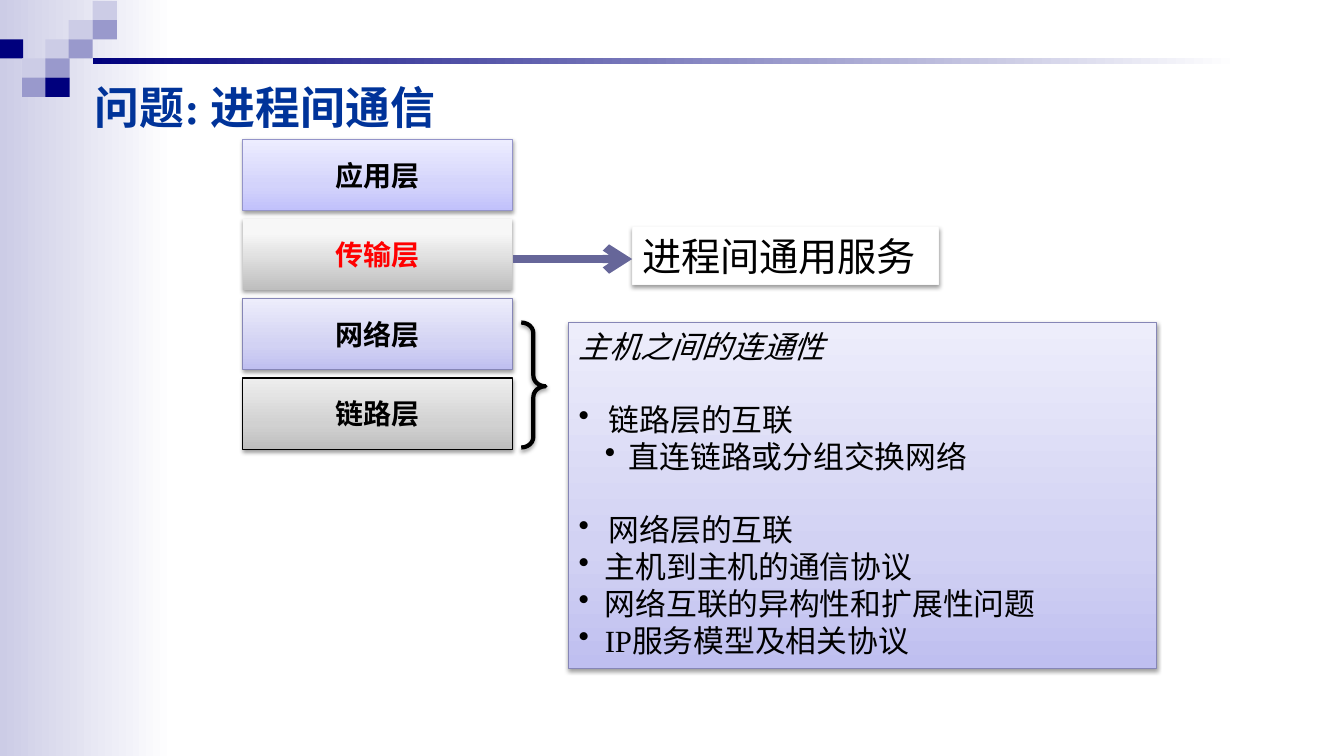
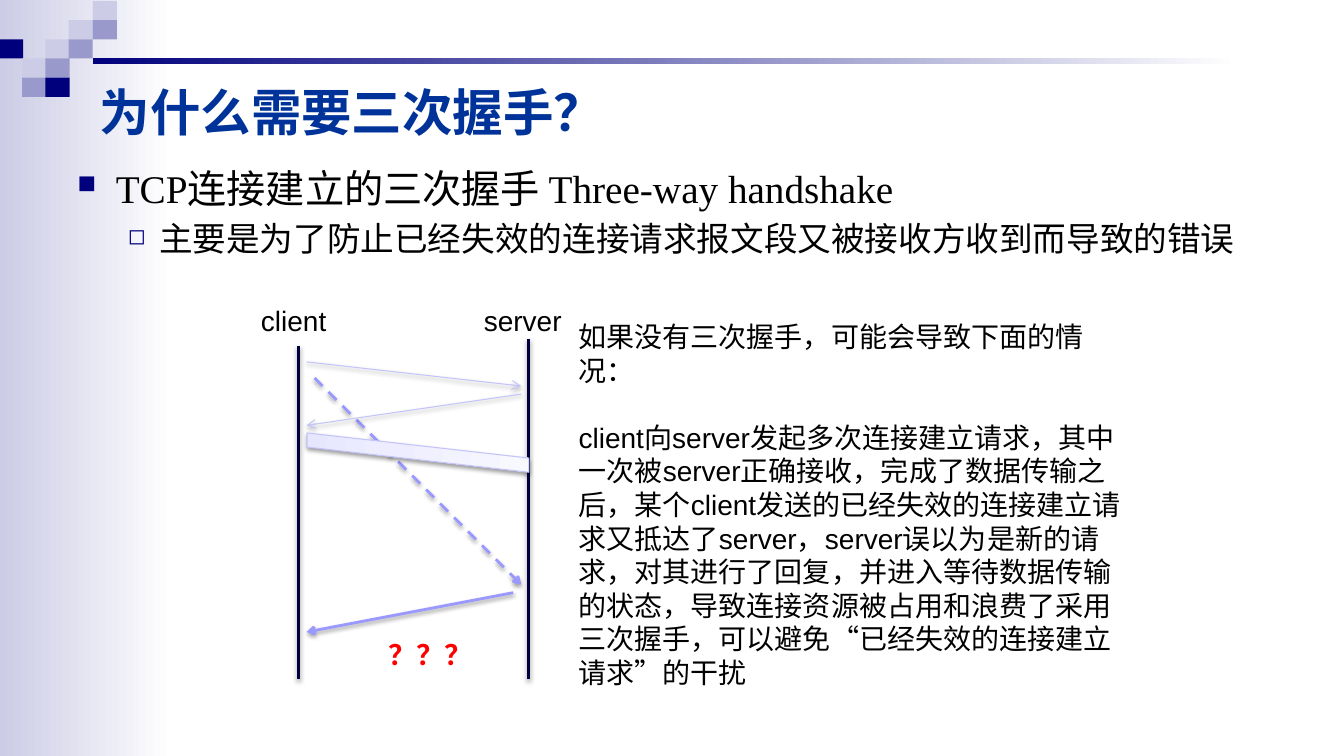
from copy import deepcopy

from lxml.etree import SubElement
from pptx import Presentation
from pptx.dml.color import RGBColor
from pptx.enum.dml import MSO_LINE
from pptx.enum.shapes import MSO_CONNECTOR, MSO_SHAPE
from pptx.enum.text import MSO_ANCHOR, MSO_AUTO_SIZE, PP_ALIGN
from pptx.oxml.ns import qn
from pptx.util import Emu, Pt

SCALE = 9144
SERIF, SANS, HAN = "Times New Roman", "Arial", "Noto Sans CJK SC"

BLACK = RGBColor(0x00, 0x00, 0x00)
WHITE = RGBColor(0xFF, 0xFF, 0xFF)
RED = RGBColor(0xFF, 0x00, 0x00)
BLUE = RGBColor(0x00, 0x33, 0x99)
NAVY = RGBColor(0x00, 0x00, 0x7D)
INK = RGBColor(0x00, 0x00, 0x3E)
PALE = RGBColor(0xCC, 0xCC, 0xE6)
MID = RGBColor(0x99, 0x99, 0xCC)
SLATE = RGBColor(0x66, 0x66, 0x99)
SNOW = RGBColor(0xF9, 0xF9, 0xF9)
LILAC = RGBColor(0xC4, 0xC4, 0xFB)
VIVID = RGBColor(0x99, 0x99, 0xFF)
EDGE = RGBColor(0x86, 0x86, 0xB6)
RIM = RGBColor(0x94, 0x94, 0xC9)

FADE = ((0, PALE), (1, WHITE))
RULE = ((0, NAVY), (1, WHITE))
DUSK = ((0, RGBColor(0xBF, 0xBF, 0xF0)), (0.35, RGBColor(0xD2, 0xD2, 0xF3)),
        (1, RGBColor(0xED, 0xED, 0xFB)))
SKY = ((0, RGBColor(0xC1, 0xC1, 0xFB)), (0.35, RGBColor(0xD3, 0xD3, 0xFB)),
       (1, RGBColor(0xED, 0xED, 0xFF)))
FOG = ((0, RGBColor(0xBE, 0xBE, 0xBE)), (0.8, RGBColor(0xF7, 0xF7, 0xF7)),
       (1, RGBColor(0xF8, 0xF8, 0xF8)))
STONE = ((0, RGBColor(0xBD, 0xBD, 0xBD)), (0.35, RGBColor(0xD1, 0xD1, 0xD1)),
         (1, RGBColor(0xEE, 0xEE, 0xEE)))
MIST = ((0, RGBColor(0xE6, 0xE6, 0xFF)), (0.35, RGBColor(0xED, 0xED, 0xFF)),
        (1, RGBColor(0xF8, 0xF8, 0xFF)))

TILES = ((4, 0, PALE), (3, 1, PALE), (4, 1, MID), (0, 2, NAVY), (2, 2, PALE),
         (3, 2, MID), (1, 3, PALE), (2, 3, MID), (1, 4, MID), (2, 4, NAVY))
LAYERS = (("应用层", SKY, RIM, BLACK), ("传输层", FOG, None, RED),
          ("网络层", DUSK, EDGE, BLACK), ("链路层", STONE, BLACK, BLACK))
NOTES = (
    ("主机之间的连通性", {"italic": True}, {}),
    ("链路层的互联", {}, {"mark": "•", "left": 30, "hang": 30, "before": 26}),
    ("直连链路或分组交换网络", {}, {"mark": "•", "left": 50, "hang": 24}),
    ("网络层的互联", {}, {"mark": "•", "left": 30, "hang": 30, "before": 26}),
    ("主机到主机的通信协议", {}, {"mark": "•", "left": 26, "hang": 26}),
    ("网络互联的异构性和扩展性问题", {}, {"mark": "•", "left": 26, "hang": 26}),
    ("IP服务模型及相关协议", {}, {"mark": "•", "left": 26, "hang": 26}),
)
POINTS = (
    ("TCP连接建立的三次握手 Three-way handshake", {},
     {"mark": "■", "left": 38, "hang": 38, "tint": NAVY}),
    ("主要是为了防止已经失效的连接请求报文段又被接收方收到而导致的错误", {"size": Pt(24)},
     {"mark": "◻", "left": 81, "hang": 31, "tint": NAVY, "before": 5}),
)
STORY = (
    ("如果没有三次握手，可能会导致下面的情况：", {}, {}),
    ("client向server发起多次连接建立请求，其中一次被server正确接收，完成了数据传输之后，"
     "某个client发送的已经失效的连接建立请求又抵达了server，server误以为是新的请求，"
     "对其进行了回复，并进入等待数据传输的状态，导致连接资源被占用和浪费了采用三次握手，"
     "可以避免“已经失效的连接建立请求”的干扰", {}, {"before": 24}),
)


def px(*nums):
    """Turn px lengths into EMU."""
    return [Emu(num * SCALE) for num in nums]


def put(item, vals):
    """Set each named value on an item."""
    for name, val in vals.items():
        setattr(item, name, val)


def paint(shape, fill, angle=90):
    """Fill with nothing, one colour or gradient stops."""
    if fill is None:
        shape.fill.background()
    elif isinstance(fill, RGBColor):
        shape.fill.solid()
        shape.fill.fore_color.rgb = fill
    else:
        shape.fill.gradient()
        shape.fill.gradient_angle = angle
        stops = shape._element.spPr.find(".//" + qn("a:gsLst"))
        while len(stops) < len(fill):
            stops.append(deepcopy(stops[0]))
        for stop, (place, tint) in zip(shape.fill.gradient_stops, fill):
            stop.position = place
            stop.color.rgb = tint


def shade(shape, soft=True):
    """Replace the theme shadow by a soft one or none."""
    props = shape._element.spPr
    list_ = props.find(qn("a:effectLst"))
    if list_ is None:
        list_ = SubElement(props, qn("a:effectLst"))
    if soft:
        cast = SubElement(list_, qn("a:outerShdw"), blurRad="40000",
                          dist="20000", dir="5400000", rotWithShape="0")
        tint = SubElement(cast, qn("a:srgbClr"), val="000000")
        SubElement(tint, qn("a:alpha"), val="38000")


def block(slide, box, fill, edge=None, width=0.75, kind=MSO_SHAPE.RECTANGLE,
          soft=True, angle=90):
    """Add a preset shape."""
    shape = slide.shapes.add_shape(kind, *px(*box))
    shape.shadow.inherit = False
    paint(shape, fill, angle)
    if edge is None:
        shape.line.fill.background()
    else:
        shape.line.color.rgb = edge
        shape.line.width = Pt(width)
    shade(shape, soft)
    return shape


def wire(slide, ends, tint, width, head=True, dash=None, soft=True):
    """Add a straight line, with an arrowhead if asked."""
    line = slide.shapes.add_connector(MSO_CONNECTOR.STRAIGHT, *px(*ends))
    line.line.color.rgb = tint
    put(line.line, {"width": Pt(width), "dash_style": dash})
    if head:
        SubElement(line.line._get_or_add_ln(), qn("a:tailEnd"), type="arrow")
    shade(line, soft)


def bullet(para, mark, left, hang, tint=None):
    """Give a paragraph a hanging bullet."""
    props = para._p.get_or_add_pPr()
    props.set("marL", str(left * SCALE))
    props.set("indent", str(-hang * SCALE))
    if tint is not None:
        SubElement(SubElement(props, qn("a:buClr")), qn("a:srgbClr"), val=str(tint))
        SubElement(props, qn("a:buSzPct"), val="65000")
    SubElement(props, qn("a:buChar"), char=mark)


def write(para, text, tint, font):
    """Add a run with Latin and Han fonts."""
    run = para.add_run()
    run.text = text
    put(run.font, font)
    run.font.color.rgb = tint
    SubElement(run._r.get_or_add_rPr(), qn("a:ea"), typeface=HAN)


def label(shape, text, size, tint=BLACK, face=SERIF, bold=False,
          align=PP_ALIGN.LEFT, wrap=True):
    """Write one line, centred in height."""
    frame = shape.text_frame
    put(frame, {"word_wrap": wrap, "auto_size": MSO_AUTO_SIZE.NONE,
                "vertical_anchor": MSO_ANCHOR.MIDDLE})
    para = frame.paragraphs[0]
    para.alignment = align
    write(para, text, tint, {"name": face, "size": Pt(size), "bold": bold})


def prose(shape, items, size, face=SERIF):
    """Write paragraphs from the top, with no hanging punctuation."""
    frame = shape.text_frame
    put(frame, {"word_wrap": True, "vertical_anchor": MSO_ANCHOR.TOP})
    for num, (text, font, form) in enumerate(items):
        para = frame.add_paragraph() if num else frame.paragraphs[0]
        para._p.get_or_add_pPr().set("hangingPunct", "0")
        form = dict(form)
        before = form.pop("before", 0)
        if form:
            bullet(para, **form)
        put(para, {"alignment": PP_ALIGN.LEFT, "space_before": Pt(before)})
        write(para, text, BLACK, {"name": face, "size": Pt(size), **font})


def area(slide, box):
    """Add a text box."""
    return slide.shapes.add_textbox(*px(*box))


def title(slide, text, left, top, size, face):
    """Place and write the title."""
    head = slide.shapes.title
    put(head, dict(zip(("left", "top", "width", "height"), px(left, top, 913, 71))))
    label(head, text, size, BLUE, face, bold=True)


def decor(slide, layout):
    """Draw the shared band, tiles and rule, and move them to the layout."""
    parts = [block(slide, (0, 0, 173, 750), FADE, soft=False, angle=0)]
    for col, row, tint in TILES:
        box = (col * 93 // 4 - 1, row * 19 + 1, 24, 19)
        parts.append(block(slide, box, tint, soft=False))
    parts.append(block(slide, (92, 58, 1137, 6), RULE, soft=False, angle=0))
    for num, part in enumerate(parts):
        part._element.nvSpPr.cNvPr.set("id", str(20 + num))
        layout.shapes._spTree.insert(2 + num, part._element)


def stack(slide):
    """Draw the layers and what they serve."""
    title(slide, "问题: 进程间通信", 84, 70, 32, SERIF)
    for num, (text, fill, edge, tint) in enumerate(LAYERS):
        row = block(slide, (241, 138 + 79 * num, 267, 71), fill, edge)
        label(row, text, 20, tint, bold=True, align=PP_ALIGN.CENTER)
    brace = block(slide, (517, 320, 24, 124), None, BLACK, 3, MSO_SHAPE.RIGHT_BRACE)
    brace.adjustments[0], brace.adjustments[1] = 0.44, 0.51
    prose(block(slide, (564, 320, 583, 343), DUSK, EDGE), NOTES, 22)
    goal = block(slide, (627, 225, 304, 57), WHITE, SNOW)
    label(goal, "进程间通用服务", 28, wrap=False)
    wire(slide, (509, 257, 627, 257), SLATE, 6, soft=False)


def shake(slide):
    """Draw the handshake and its story."""
    title(slide, "为什么需要三次握手？", 89, 75, 36, HAN)
    prose(area(slide, (67, 158, 1200, 110)), POINTS, 28)
    for left, top in ((296, 343), (524, 336)):
        wire(slide, (left, top, left, 674), INK, 2, head=False)
    for text, left, width in (("client", 249, 86), ("server", 470, 98)):
        label(area(slide, (left, 296, width, 44)), text, 20, face=SANS, wrap=False)
    wire(slide, (304, 359, 517, 383), LILAC, 0.75)
    wire(slide, (312, 375, 517, 580), VIVID, 2, dash=MSO_LINE.DASH)
    wire(slide, (517, 391, 304, 422), LILAC, 0.75)
    data = block(slide, (395, 339, 39, 220), MIST, LILAC, kind=MSO_SHAPE.PARALLELOGRAM)
    data.rotation = 90
    data.adjustments[0] = 0.64
    wire(slide, (509, 588, 304, 627), VIVID, 2)
    prose(area(slide, (564, 312, 569, 380)), STORY, 20, SANS)
    label(area(slide, (375, 627, 105, 44)), "？？？", 20, RED, SANS, bold=True, wrap=False)


def main():
    """Build and save the slides."""
    deck = Presentation()
    deck.slide_width, deck.slide_height = px(1333, 750)
    layout = deck.slide_layouts[5]
    first, second = [deck.slides.add_slide(layout) for _ in range(2)]
    decor(first, layout)
    stack(first)
    shake(second)
    deck.save("out.pptx")


if __name__ == "__main__":
    main()
